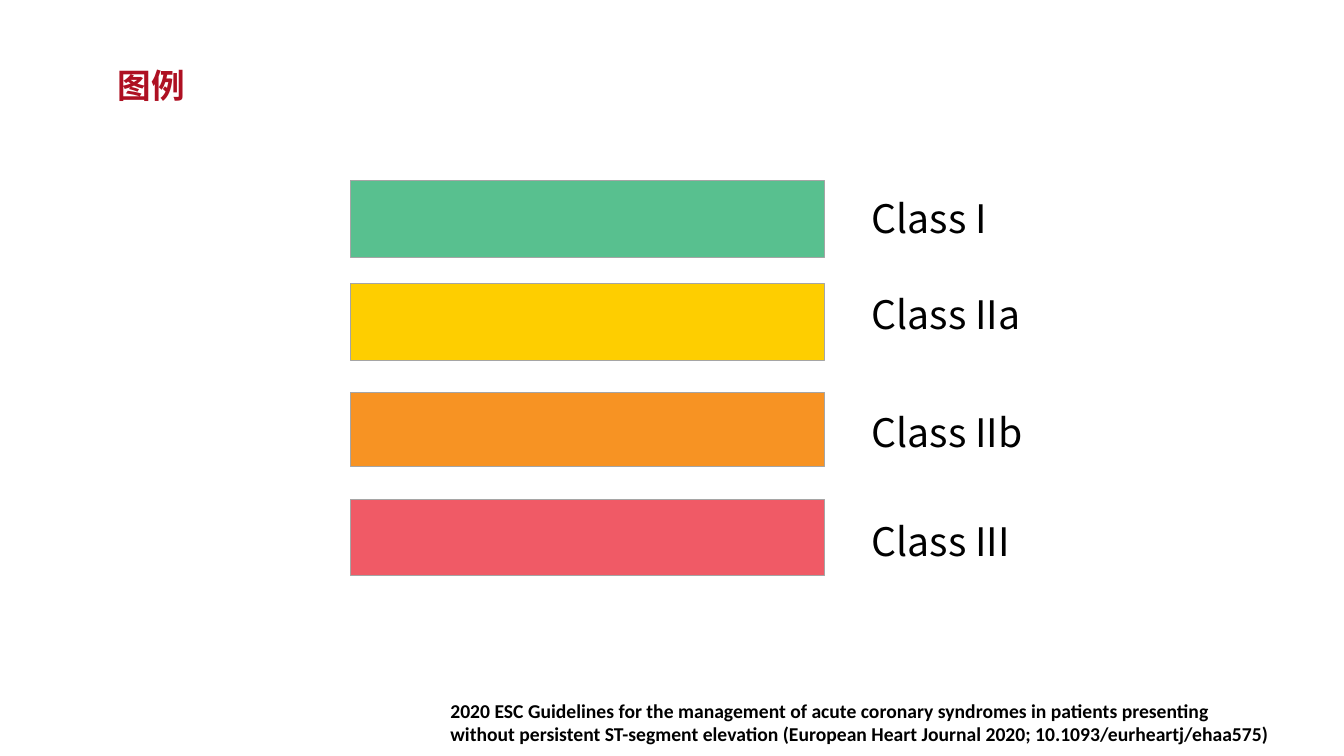
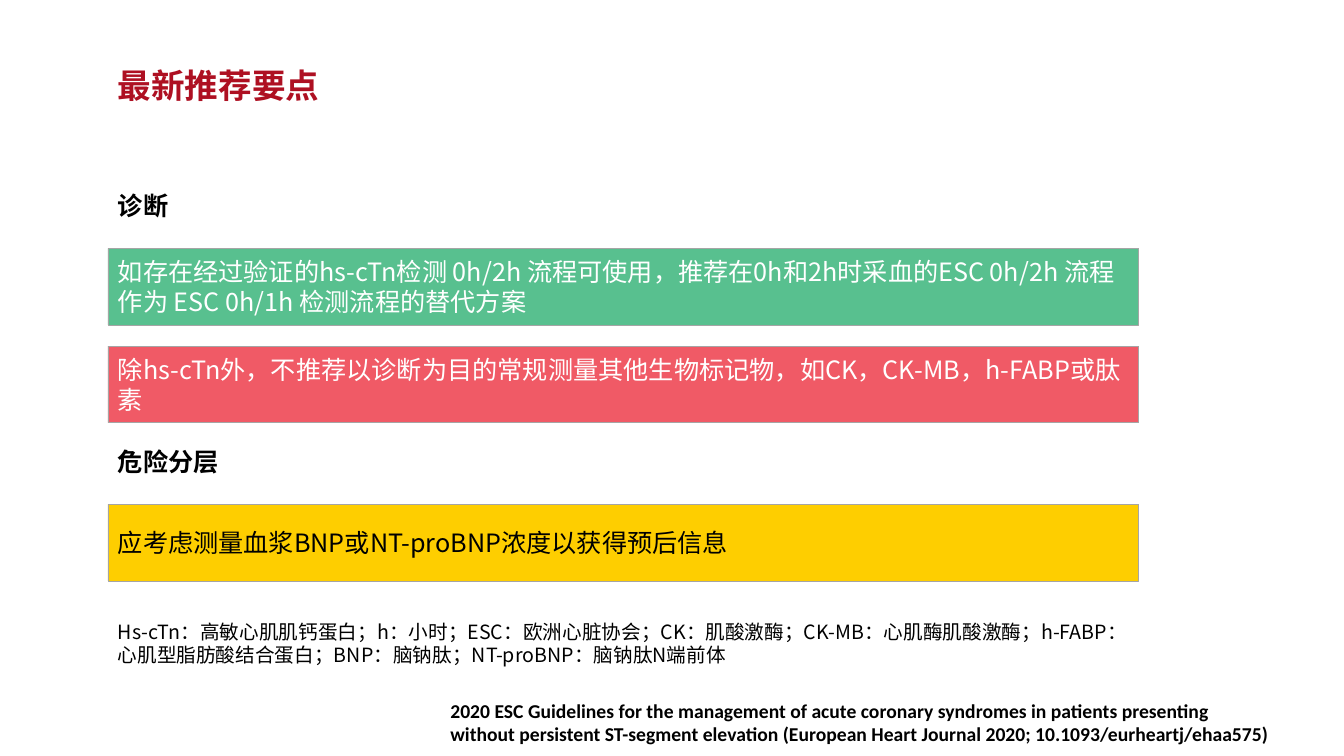
import pptx
import pptx.dml.color
import pptx.enum.shapes
import pptx.enum.text
import pptx.oxml
import pptx.oxml.ns
import pptx.util

Cm = pptx.util.Cm
Pt = pptx.util.Pt
RGBColor = pptx.dml.color.RGBColor
ALIGN = pptx.enum.text.PP_ALIGN
ANCHOR = pptx.enum.text.MSO_ANCHOR

RED = RGBColor(0xAE, 0x10, 0x22)
BLACK = RGBColor(0, 0, 0)
WHITE = RGBColor(0xFF, 0xFF, 0xFF)
GRAY = RGBColor(0xA5, 0xA5, 0xA5)
CLASS_I = RGBColor(0x58, 0xC0, 0x8F)
CLASS_IIA = RGBColor(0xFE, 0xCE, 0x00)
CLASS_IIB = RGBColor(0xF7, 0x93, 0x23)
CLASS_III = RGBColor(0xF0, 0x5A, 0x66)

SANS = "Noto Sans CJK SC"
LEFT = 2.72
WIDTH = 25.98
BAR_HEIGHT = 1.93
CITATION = (
    "2020 ESC Guidelines for the management of acute coronary syndromes in patients "
    "presenting without persistent ST-segment elevation "
    "(European Heart Journal 2020; 10.1093/eurheartj/ehaa575)"
)


def write(sp, text, size, color=BLACK, bold=False, font=SANS, anchor=ANCHOR.MIDDLE):
    tf = sp.text_frame
    tf.word_wrap = True
    tf.vertical_anchor = anchor
    p = tf.paragraphs[0]
    p.text = text
    p.alignment = ALIGN.LEFT
    p.font.size = Pt(size)
    p.font.bold = bold
    p.font.color.rgb = color
    p.font.name = font
    props = p._p.pPr.find(pptx.oxml.ns.qn("a:defRPr"))
    props.append(pptx.oxml.parse_xml(
        f'<a:ea {pptx.oxml.ns.nsdecls("a")} typeface="{font}"/>'))


def add_text(slide, x, y, w, h, text, size, **style):
    sp = slide.shapes.add_textbox(Cm(x), Cm(y), Cm(w), Cm(h))
    write(sp, text, size, anchor=ANCHOR.TOP, **style)
    sp.text_frame.auto_size = pptx.enum.text.MSO_AUTO_SIZE.SHAPE_TO_FIT_TEXT


def add_box(slide, x, y, w, h, fill=WHITE, outlined=False):
    sp = slide.shapes.add_shape(
        pptx.enum.shapes.MSO_SHAPE.RECTANGLE, Cm(x), Cm(y), Cm(w), Cm(h))
    sp.shadow.inherit = False
    sp.fill.solid()
    sp.fill.fore_color.rgb = fill
    if outlined:
        sp.line.color.rgb = GRAY
        sp.line.width = Pt(0.5)
    else:
        sp.line.fill.background()
    return sp


def add_base_slide(prs, title):
    slide = prs.slides.add_slide(prs.slide_layouts[6])
    add_text(slide, LEFT, 1.5, 20.55, 1.27, title, 24, color=RED, bold=True)
    footer = add_box(slide, 11.1, 17.55, 21.26, 1.3)
    write(footer, CITATION, 14, bold=True, font="Calibri")
    return slide


def add_legend(slide, x, y, rows):
    for label, fill, bar_y, bar_h, label_y in rows:
        add_box(slide, x, y + bar_y, 11.94, bar_h, fill, outlined=True)
        add_text(slide, x + 12.88, y + label_y, 6.15, 1.45, label, 28)


def add_section(slide, x, y, w, heading, items):
    write(add_box(slide, x, y, w, 1.52), heading, 18, bold=True)
    for i, (text, fill, color) in enumerate(items):
        bar = add_box(slide, x, y + 1.84 + 2.46 * i, w, BAR_HEIGHT, fill, outlined=True)
        write(bar, text, 18, color)


def build_legend_slide(prs):
    slide = add_base_slide(prs, "图例")
    add_legend(slide, 8.84, 4.55, [
        ("Class I", CLASS_I, 0, BAR_HEIGHT, 0.23),
        ("Class IIa", CLASS_IIA, 2.6, BAR_HEIGHT, 2.64),
        ("Class IIb", CLASS_IIB, 5.33, 1.88, 5.61),
        ("Class III", CLASS_III, 8.03, BAR_HEIGHT, 8.35),
    ])


def build_recommendations_slide(prs):
    slide = add_base_slide(prs, "最新推荐要点")
    add_section(slide, LEFT, 4.42, WIDTH, "诊断", [
        ("如存在经过验证的hs-cTn检测 0h/2h 流程可使用，推荐在0h和2h时采血的ESC 0h/2h "
         "流程作为 ESC 0h/1h 检测流程的替代方案", CLASS_I, WHITE),
        ("除hs-cTn外，不推荐以诊断为目的常规测量其他生物标记物，如CK，CK-MB，h-FABP或肽素",
         CLASS_III, WHITE),
    ])
    add_section(slide, LEFT, 10.87, WIDTH, "危险分层", [
        ("应考虑测量血浆BNP或NT-proBNP浓度以获得预后信息", CLASS_IIA, BLACK),
    ])
    abbreviations = add_box(slide, LEFT, 15.47, WIDTH, 1.47)
    write(abbreviations,
          "Hs-cTn：高敏心肌肌钙蛋白；h：小时；ESC：欧洲心脏协会；CK：肌酸激酶；"
          "CK-MB：心肌酶肌酸激酶；h-FABP：心肌型脂肪酸结合蛋白；BNP：脑钠肽；"
          "NT-proBNP：脑钠肽N端前体", 14)


def main():
    prs = pptx.Presentation()
    prs.slide_width = Cm(33.87)
    prs.slide_height = Cm(19.05)
    build_legend_slide(prs)
    build_recommendations_slide(prs)
    prs.save("out.pptx")


if __name__ == "__main__":
    main()
